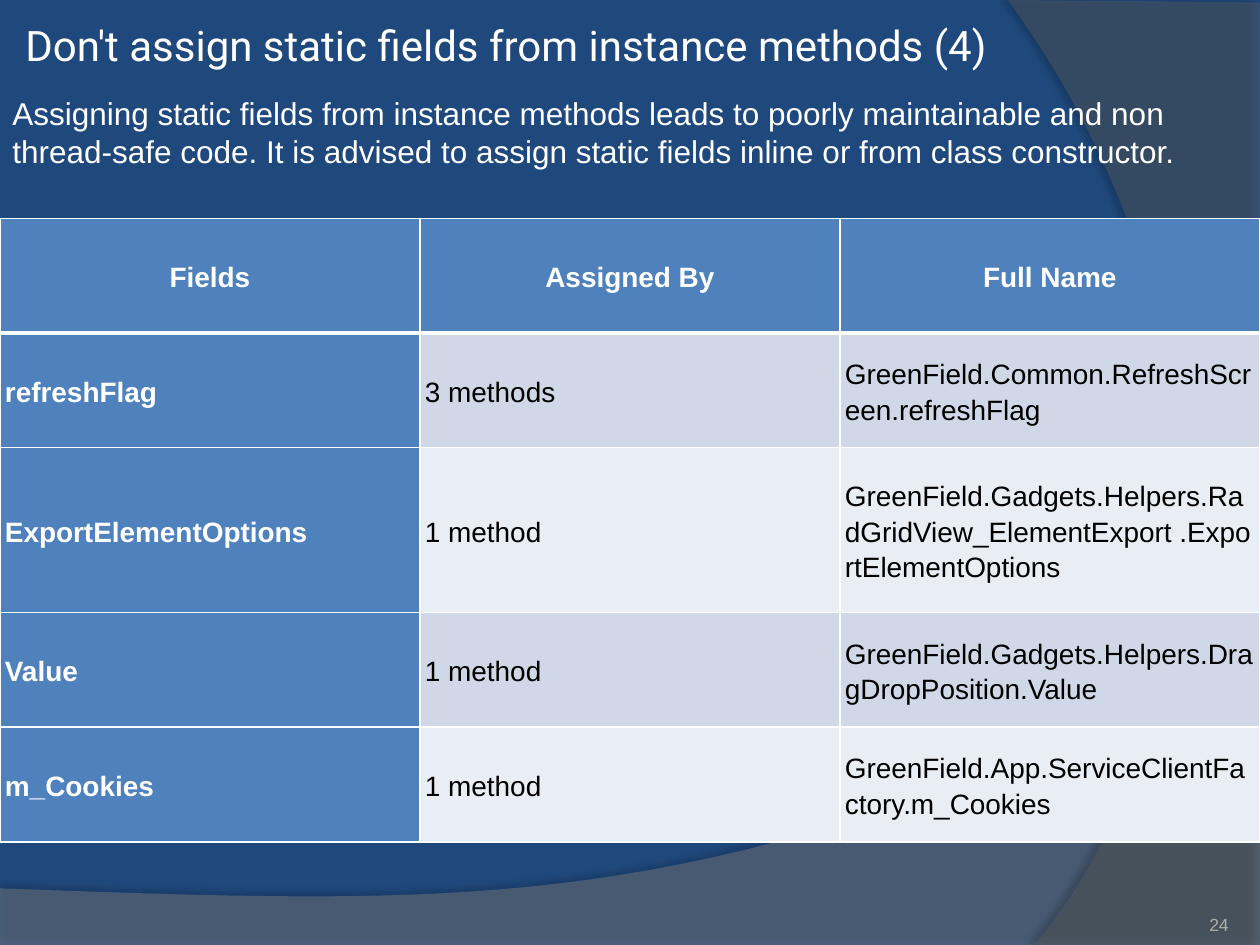
import pptx
import pptx.dml.color
import pptx.enum.text
import pptx.oxml
import pptx.oxml.ns
import pptx.util
from pptx.util import Cm

COLORS = {
    "background": "1F497D",
    "wave": "7F7F7F",
    "ribbon": "5E5E5E",
    "shadow": "000000",
    "light": "FFFFFF",
    "dark": "000000",
    "number": "B0AFA6",
    "header": "4F81BD",
    "band_odd": "D0D8E8",
    "band_even": "E9EDF4",
}
NAMESPACE = pptx.oxml.ns.nsdecls("a")
HEADINGS = ["Fields", "Assigned By", "Full Name"]
ASSIGNMENTS = [
    ["refreshFlag", "3 methods", "GreenField.Common.RefreshScreen.refreshFlag"],
    ["ExportElementOptions", "1 method",
     "GreenField.Gadgets.Helpers.RadGridView_ElementExport .ExportElementOptions"],
    ["Value", "1 method", "GreenField.Gadgets.Helpers.DragDropPosition.Value"],
    ["m_Cookies", "1 method", "GreenField.App.ServiceClientFactory.m_Cookies"],
]
ROW_HEIGHTS = [2.31, 2.31, 3.33, 2.31, 2.31]


def rgb(name):
    return pptx.dml.color.RGBColor.from_string(COLORS[name])


def write_text(frame, text, size, color="light", font="Arial", bold=False,
               align="LEFT", spacing=1.0):
    paragraph = frame.paragraphs[0]
    paragraph.alignment = getattr(pptx.enum.text.PP_ALIGN, align)
    paragraph.line_spacing = spacing
    run = paragraph.add_run()
    run.text = text
    run.font.size = pptx.util.Pt(size)
    run.font.name = font
    run.font.bold = bold
    run.font.color.rgb = rgb(color)


def place(shape, left, top, width, height):
    shape.left, shape.top = Cm(left), Cm(top)
    shape.width, shape.height = Cm(width), Cm(height)


def set_frame(frame, anchor, margin):
    frame.word_wrap = True
    frame.auto_size = pptx.enum.text.MSO_AUTO_SIZE.NONE
    frame.vertical_anchor = getattr(pptx.enum.text.MSO_ANCHOR, anchor)
    frame.margin_left = frame.margin_right = Cm(margin)
    frame.margin_top = frame.margin_bottom = Cm(margin)


def curve_points(start, control_a, control_b, end, steps=48):
    for step in range(1, steps + 1):
        t = step / steps
        weights = ((1 - t) ** 3, 3 * t * (1 - t) ** 2, 3 * t ** 2 * (1 - t), t ** 3)
        yield tuple(
            sum(weight * value for weight, value in zip(weights, axis))
            for axis in zip(start, control_a, control_b, end)
        )


def add_swoosh(slide, corners, curve, color, opacity, shadow):
    points = corners + list(curve_points(corners[-1], *curve))
    emu_points = [(Cm(x), Cm(y)) for x, y in points]
    builder = slide.shapes.build_freeform(*emu_points[0])
    builder.add_line_segments(emu_points[1:], close=True)
    swoosh = builder.convert_to_shape()
    swoosh.line.fill.background()
    swoosh.fill.solid()
    swoosh.fill.fore_color.rgb = rgb(color)
    properties = swoosh.element.spPr
    fill_color = properties.find(".//" + pptx.oxml.ns.qn("a:srgbClr"))
    fill_color.append(pptx.oxml.parse_xml(
        f'<a:alpha {NAMESPACE} val="{opacity * 1000}"/>'))
    shadow_opacity, distance, angle = shadow
    properties.append(pptx.oxml.parse_xml(
        f'<a:effectLst {NAMESPACE}><a:outerShdw blurRad="{pptx.util.Pt(4)}" '
        f'dist="{pptx.util.Pt(distance)}" dir="{angle * 60000}" algn="ctr" rotWithShape="0">'
        f'<a:srgbClr val="{COLORS["shadow"]}"><a:alpha val="{shadow_opacity * 1000}"/>'
        '</a:srgbClr></a:outerShdw></a:effectLst>'))


def add_title(slide, text):
    title = slide.shapes.title
    slide.shapes.element.append(title.element)
    place(title, 0.38, -0.69, 24.38, 3.18)
    set_frame(title.text_frame, "MIDDLE", 0.13)
    write_text(title.text_frame, text, 24, font="Roboto")


def add_advice(slide, text):
    advice = slide.shapes.add_textbox(Cm(0), Cm(1.78), Cm(25.4), Cm(1.8))
    advice.text_frame.word_wrap = True
    write_text(advice.text_frame, text, 18)


def add_page_number(slide, number):
    page_number = slide.shapes.add_textbox(Cm(22.66), Cm(17.83), Cm(2.11), Cm(1.02))
    set_frame(page_number.text_frame, "BOTTOM", 0)
    write_text(page_number.text_frame, number, 10, color="number", align="RIGHT")


def set_borders(cell, widths):
    properties = cell._tc.get_or_add_tcPr()
    for side, width in widths.items():
        properties.append(pptx.oxml.parse_xml(
            f'<a:ln{side} {NAMESPACE} w="{pptx.util.Pt(width)}"><a:solidFill>'
            f'<a:srgbClr val="{COLORS["light"]}"/></a:solidFill></a:ln{side}>'))


def format_cell(cell, text, row, column):
    is_heading = row == 0
    is_label = is_heading or column == 0
    cell.vertical_anchor = pptx.enum.text.MSO_ANCHOR.MIDDLE
    cell.margin_left = cell.margin_right = Cm(0.1)
    cell.margin_top = cell.margin_bottom = Cm(0.1)
    set_borders(cell, {"L": 1, "R": 1, "T": 3 if row == 1 else 1,
                       "B": 3 if is_heading else 1})
    band = "band_odd" if row % 2 else "band_even"
    cell.fill.solid()
    cell.fill.fore_color.rgb = rgb("header" if is_label else band)
    write_text(cell.text_frame, text, 16, color="light" if is_label else "dark",
               bold=is_label, align="CENTER" if is_heading else "LEFT", spacing=1.15)


def add_assignment_table(slide):
    rows = [HEADINGS] + ASSIGNMENTS
    table = slide.shapes.add_table(
        len(rows), len(HEADINGS), Cm(0), Cm(4.4), Cm(25.4), Cm(sum(ROW_HEIGHTS))).table
    for row, (texts, height) in enumerate(zip(rows, ROW_HEIGHTS)):
        table.rows[row].height = Cm(height)
        for column, text in enumerate(texts):
            format_cell(table.cell(row, column), text, row, column)


def main():
    deck = pptx.Presentation()
    deck.slide_width, deck.slide_height = Cm(25.4), Cm(19.05)
    slide = deck.slides.add_slide(deck.slide_layouts[5])
    slide.background.fill.solid()
    slide.background.fill.fore_color.rgb = rgb("background")
    add_swoosh(slide, [(0, 17.91), (0, 19.08), (25.4, 19.08), (25.4, 13.21)],
               [(14.2, 18.52), (9.93, 18.26), (0, 17.91)], "wave", 45, (35, 3.5, 270))
    add_swoosh(slide, [(25.4, 0.05), (25.4, 19.05), (20.85, 19.05)],
               [(23.75, 15.72), (25.86, 7.62), (20.32, 0)], "ribbon", 40, (45, 4, 180))
    add_page_number(slide, "24")
    add_title(slide, "Don't assign static fields from instance methods (4)")
    add_advice(slide, "Assigning static fields from instance methods leads to poorly "
               "maintainable and non thread-safe code. It is advised to assign static "
               "fields inline or from class constructor.")
    add_assignment_table(slide)
    deck.save("out.pptx")


if __name__ == "__main__":
    main()
